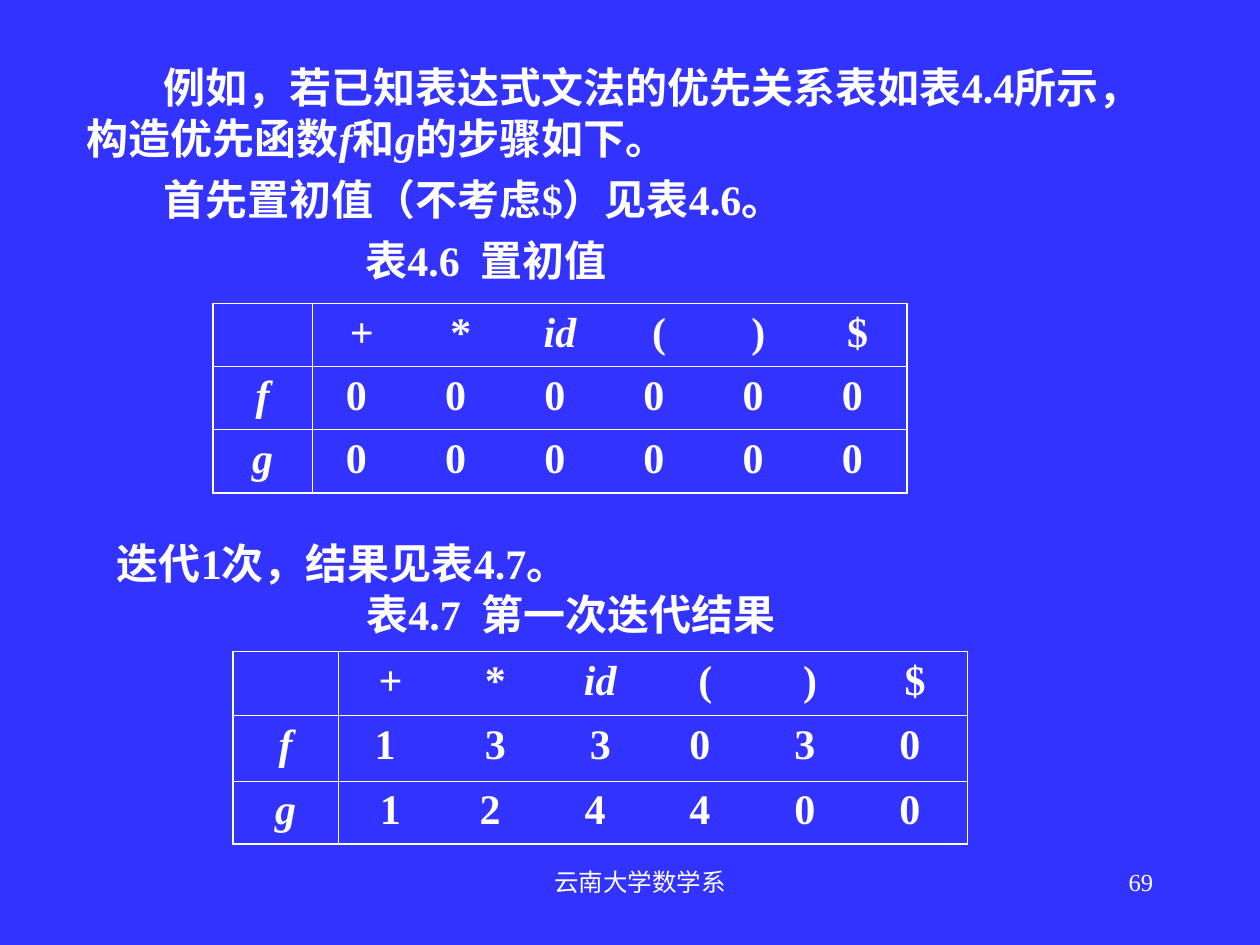
from pptx import Presentation
from pptx.dml.color import RGBColor
from pptx.enum.text import MSO_ANCHOR, MSO_AUTO_SIZE, PP_ALIGN
from pptx.oxml import parse_xml
from pptx.oxml.ns import nsdecls
from pptx.util import Inches, Pt

THEME = {
    "background": "3333FF",
    "ink": "FFFFFF",
    "font": "Times New Roman",
    "body": 24,
    "footer": 14,
    "outer_line": 1.08,
    "inner_line": 0.45,
    "plain_table": "{2D5ABB26-0587-4C30-8999-92F81FD0307C}",
}

ITALIC = {"f", "g", "id"}
INTRO_AREA = (0.59, 0.44, 8.67, 2.02)
INTRO = [
    (0.61, ["例如，若已知表达式文法的优先关系表如表4.4所示，构造优先函数", "f", "和", "g", "的步骤如下。"]),
    (0.61, ["首先置初值（不考虑$）见表4.6。"]),
    (2.21, ["表4.6  置初值"]),
]
ITERATION_AREA = (0.83, 4.22, 7.48, 0.9)
ITERATION = [
    (PP_ALIGN.LEFT, "迭代1次，结果见表4.7。"),
    (PP_ALIGN.CENTER, "表4.7  第一次迭代结果 "),
]
FOOTERS = [
    ((3.42, 6.83, 3.32, 0.5), PP_ALIGN.CENTER, "云南大学数学系"),
    ((7.17, 6.83, 2.08, 0.5), PP_ALIGN.RIGHT, "69"),
]
HEADER = ["", "+", "*", "id", "(", ")", "$"]
TABLES = [
    {
        "area": (1.69, 2.41, 5.51, 1.5),
        "row_heights": [0.5, 0.5, 0.5],
        "rows": [HEADER, ["f"] + ["0 "] * 6, ["g"] + ["0 "] * 6],
    },
    {
        "area": (1.85, 5.17, 5.83, 1.53),
        "row_heights": [0.51, 0.52, 0.5],
        "rows": [
            HEADER,
            ["f", "1 ", "3", "3", "0 ", "3 ", "0 "],
            ["g", "1", "2 ", "4 ", "4 ", "0 ", "0 "],
        ],
    },
]


def inches(area):
    return [Inches(length) for length in area]


def add_span(para, text, size=THEME["body"], bold=True):
    span = para.add_run()
    span.text = text
    span.font.name = THEME["font"]
    span.font.size = Pt(size)
    span.font.bold = bold
    span.font.italic = text in ITALIC
    span.font.color.rgb = RGBColor.from_string(THEME["ink"])


def next_para(frame, index):
    return frame.add_paragraph() if index else frame.paragraphs[0]


def add_intro(page):
    box = page.placeholders[1]
    box.left, box.top, box.width, box.height = inches(INTRO_AREA)
    frame = box.text_frame
    frame.word_wrap = True
    frame.auto_size = MSO_AUTO_SIZE.NONE
    for index, (indent, texts) in enumerate(INTRO):
        para = next_para(frame, index)
        properties = para._p.get_or_add_pPr()
        properties.set("marL", "0")
        properties.set("indent", str(Inches(indent)))
        properties.append(parse_xml(f"<a:buNone {nsdecls('a')}/>"))
        para.space_before = Pt(6 if index else 0)
        for text in texts:
            add_span(para, text)


def add_box(page, area, lines, anchor=MSO_ANCHOR.TOP, **style):
    frame = page.shapes.add_textbox(*inches(area)).text_frame
    frame.word_wrap = True
    frame.vertical_anchor = anchor
    for index, (alignment, text) in enumerate(lines):
        para = next_para(frame, index)
        para.alignment = alignment
        add_span(para, text, **style)


def add_border(cell, side, width):
    if width:
        paint = f'<a:solidFill><a:srgbClr val="{THEME["ink"]}"/></a:solidFill>'
    else:
        paint = "<a:noFill/>"
    cell._tc.get_or_add_tcPr().append(
        parse_xml(f'<a:ln{side} {nsdecls("a")} w="{Pt(width)}">{paint}</a:ln{side}>')
    )


def add_grid(page, area, row_heights, rows):
    row_count, column_count = len(rows), len(rows[0])
    outer, inner = THEME["outer_line"], THEME["inner_line"]
    row_lines = [outer] + [inner] * (row_count - 1) + [outer]
    column_lines = [outer, inner] + [0] * (column_count - 2) + [outer]
    table = page.shapes.add_table(row_count, column_count, *inches(area)).table
    table.first_row = table.horz_banding = False
    table._tbl.tblPr.find("{*}tableStyleId").text = THEME["plain_table"]
    for row, height in zip(table.rows, row_heights):
        row.height = Inches(height)
    for r, texts in enumerate(rows):
        for c, text in enumerate(texts):
            cell = table.cell(r, c)
            add_border(cell, "L", column_lines[c])
            add_border(cell, "R", column_lines[c + 1])
            add_border(cell, "T", row_lines[r])
            add_border(cell, "B", row_lines[r + 1])
            cell.fill.background()
            if text:
                para = cell.text_frame.paragraphs[0]
                para.alignment = PP_ALIGN.CENTER
                add_span(para, text)


def main():
    deck = Presentation()
    deck.slide_width, deck.slide_height = Inches(10), Inches(7.5)
    page = deck.slides.add_slide(deck.slide_layouts[1])
    page.background.fill.solid()
    page.background.fill.fore_color.rgb = RGBColor.from_string(THEME["background"])
    title = page.shapes.title.element
    title.getparent().remove(title)

    for area, alignment, text in FOOTERS:
        add_box(page, area, [(alignment, text)], size=THEME["footer"], bold=False)
    add_intro(page)
    add_box(page, ITERATION_AREA, ITERATION, MSO_ANCHOR.MIDDLE)
    for grid in TABLES:
        add_grid(page, **grid)
    deck.save("out.pptx")


if __name__ == "__main__":
    main()
